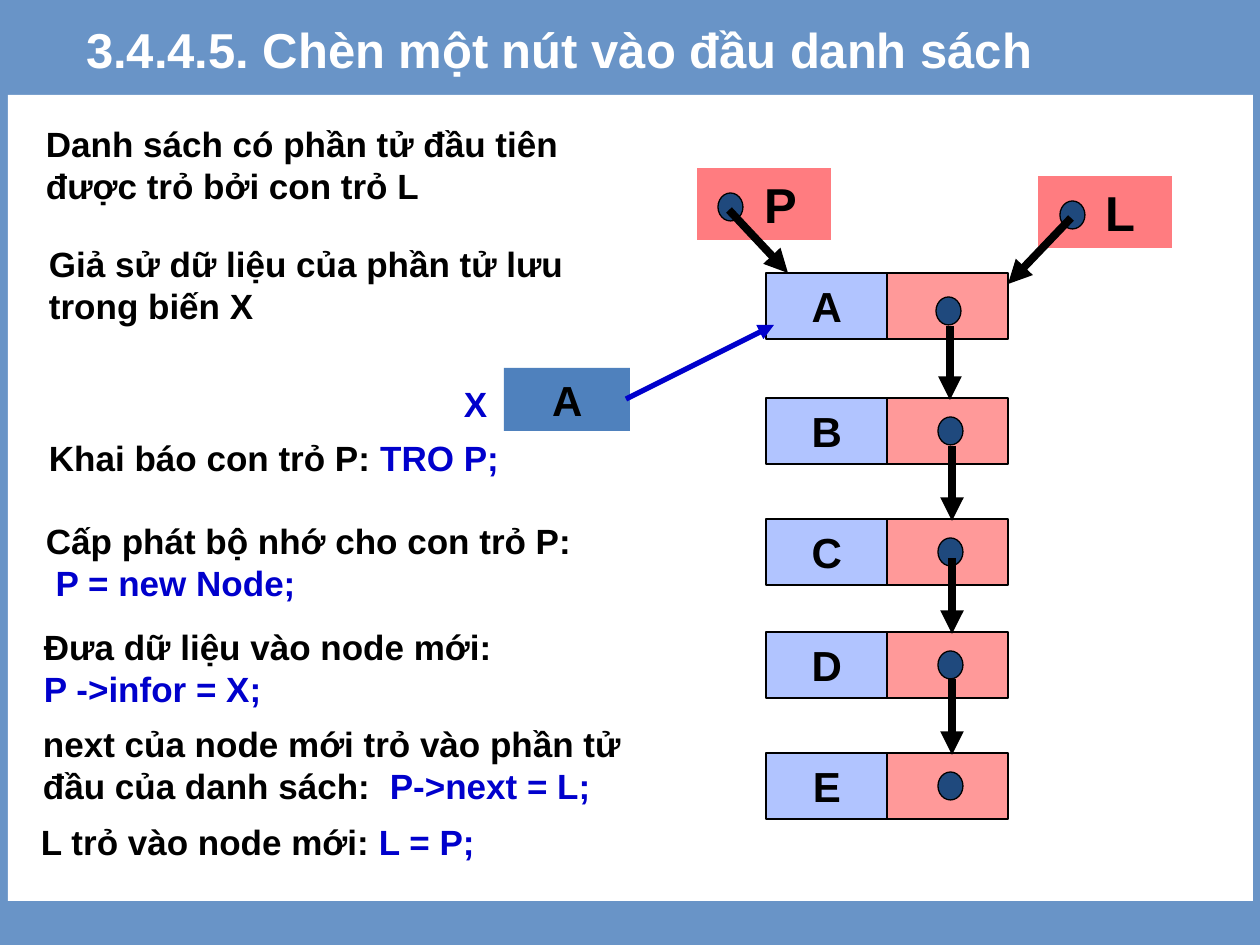
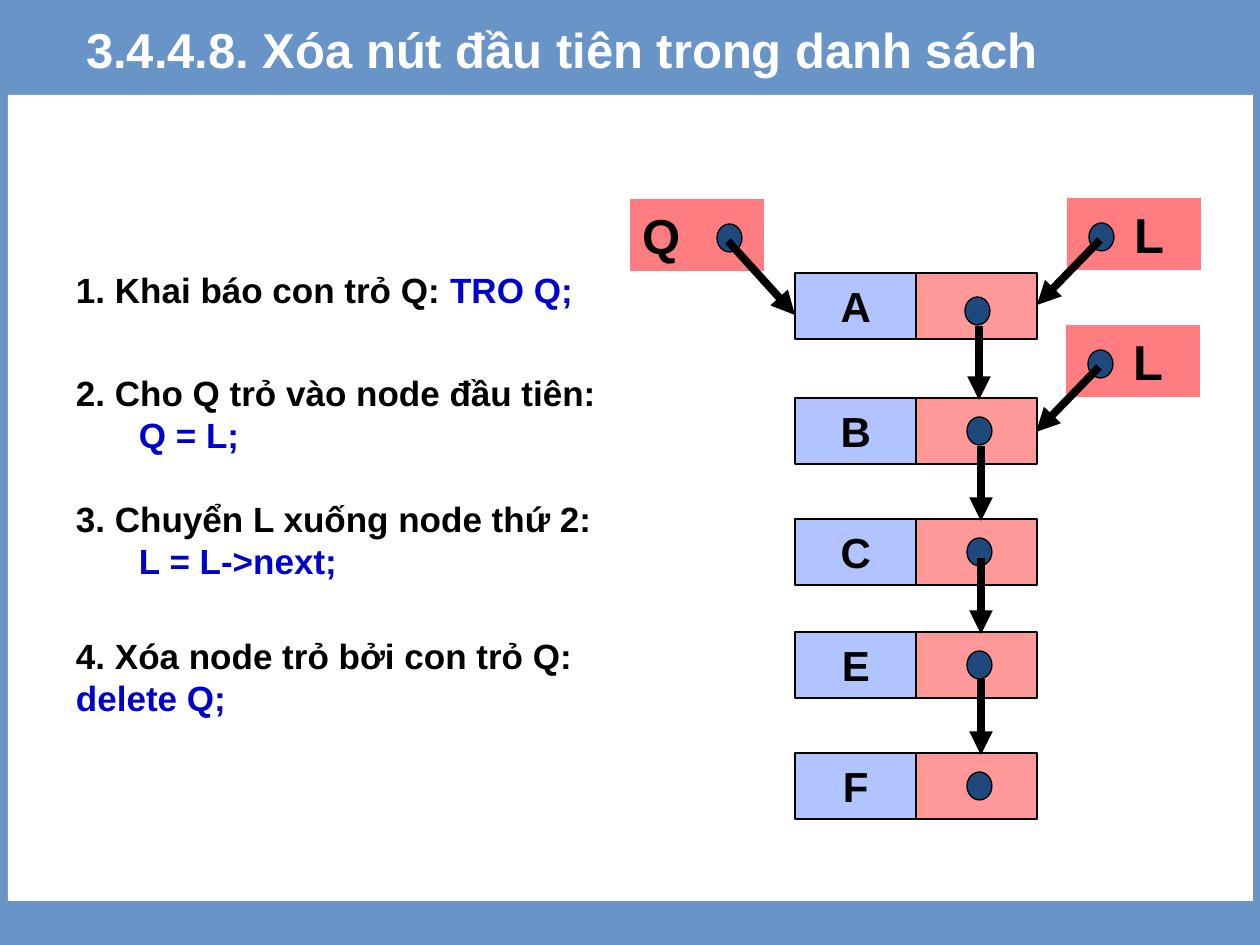
import pptx
import pptx.dml.color
import pptx.enum.shapes
import pptx.enum.text
import pptx.oxml.ns
import pptx.util
from lxml import etree

SHAPE = pptx.enum.shapes.MSO_SHAPE
ALIGN = pptx.enum.text.PP_ALIGN
ANCHOR = pptx.enum.text.MSO_ANCHOR
qn = pptx.oxml.ns.qn
PX = 914400 / 126  # EMU in one px


class Theme:
    font = "Arial"
    backdrop = "6994C7"
    white = "FFFFFF"
    ink = "000000"
    code = "0000CC"
    pointer = "FF7C80"
    dot = "1F497D"
    variable = "4F81BD"
    data_cell = ("3366FF", 38)  # colour, opacity in percent
    next_cell = ("FF0000", 40)
    heading_size = 28
    node_size = 24
    step_size = 20
    outline = 0.75
    link = 4.5
    copy_link = 3


def add_box(slide, kind, x, y, width, height, fill, outlined=False):
    box = slide.shapes.add_shape(kind, *[round(n * PX) for n in (x, y, width, height)])
    box.shadow.inherit = False
    color, opacity = fill if isinstance(fill, tuple) else (fill, 100)
    box.fill.solid()
    box.fill.fore_color.rgb = pptx.dml.color.RGBColor.from_string(color)
    if opacity < 100:
        tint = box._element.spPr.find(".//" + qn("a:srgbClr"))
        etree.SubElement(tint, qn("a:alpha"), val=str(opacity * 1000))
    if outlined:
        box.line.color.rgb = pptx.dml.color.RGBColor.from_string(Theme.ink)
        box.line.width = pptx.util.Pt(Theme.outline)
    else:
        box.line.fill.background()
    return box


def write(frame, *parts, size=Theme.step_size, colors=(Theme.ink, Theme.code),
          align=ALIGN.LEFT, anchor=ANCHOR.TOP, inset=13, space_before=None, tabs=()):
    """Write one paragraph; its parts take the colors in turn."""
    frame.word_wrap = True
    frame.auto_size = pptx.enum.text.MSO_AUTO_SIZE.NONE
    frame.vertical_anchor = anchor
    frame.margin_left = round(inset * PX)
    paragraph = frame.paragraphs[0] if space_before is None else frame.add_paragraph()
    if tabs:
        properties = paragraph._p.get_or_add_pPr()
        properties.set("marL", "0")
        properties.set("indent", "0")
        etree.SubElement(properties, qn("a:buNone"))
        stops = etree.SubElement(properties, qn("a:tabLst"))
        for stop in tabs:
            etree.SubElement(stops, qn("a:tab"), pos=str(round(stop * PX)), algn="l")
    paragraph.alignment = align
    paragraph.space_before = pptx.util.Pt(space_before or 0)
    for part, color in zip(parts, colors):
        run = paragraph.add_run()
        run.text = part
        run.font.name = Theme.font
        run.font.size = pptx.util.Pt(size)
        run.font.bold = True
        run.font.color.rgb = pptx.dml.color.RGBColor.from_string(color)


prs = pptx.Presentation()
prs.slide_width = pptx.util.Inches(10)
prs.slide_height = pptx.util.Inches(7.5)
backdrop = prs.slide_master.background.fill
backdrop.solid()
backdrop.fore_color.rgb = pptx.dml.color.RGBColor.from_string(Theme.backdrop)

# Node rows: top of the cells, top of the dot, start of the link to the next node
ROWS = [(273, 297, 326), (398, 417, 446), (519, 538, 558), (632, 651, 679), (753, 772, None)]
CELL_W, CELL_H = 121, 66
DOT_W, DOT_H = 25, 28
POINTER_W, POINTER_H = 134, 72

# Pointers: name, left, top, dot offset, text inset, point the arrow reaches
LESSONS = [
    dict(title="3.4.4.5. Chèn một nút vào đầu danh sách", layout=5,
         nodes="ABCDE", nodes_x=766,
         pointers=[("P", 697, 168, 21, 67, (788, 273)),
                   ("L", 1038, 176, 22, 67, (1008, 284))]),
    dict(title="3.4.4.8. Xóa nút đầu tiên trong danh sách", layout=1,
         nodes="ABCEF", nodes_x=795,
         pointers=[("Q", 630, 199, 87, 13, (795, 315)),
                   ("L", 1067, 198, 22, 67, (1037, 305)),
                   ("L", 1066, 325, 22, 67, (1036, 432))]),
]

# Insertion steps: left, top, width, height, then plain text and code
INSERT_STEPS = [
    (33, 116, 557, 97, "Danh sách có phần tử đầu tiên được trỏ bởi con trỏ L"),
    (36, 236, 557, 97, "Giả sử dữ liệu của phần tử lưu trong biến X"),
    (36, 430, 557, 55, "Khai báo con trỏ P: ", "TRO P;"),
    (33, 513, 557, 97, "Cấp phát bộ nhớ cho con trỏ P: ", " P = new Node;"),
    (31, 619, 494, 97, "Đưa dữ liệu vào node mới: ", "P ->infor = X;"),
    (30, 716, 620, 97, "next của node mới trỏ vào phần tử đầu của danh sách: ", " P->next = L;"),
    (28, 814, 620, 55, "L trỏ vào node mới: ", "L = P;"),
]

# Deletion steps: space before, plain text, code
DELETE_STEPS = [
    (None, "1. Khai báo con trỏ Q: ", "TRO Q;"),
    (35, "2. Cho Q trỏ vào node đầu tiên: \t", "Q = L;"),
    (24, "3. Chuyển L xuống node thứ 2: \t", "L = L->next;"),
    (30, "4. Xóa node trỏ bởi con trỏ Q: \t", "delete Q;"),
]

for lesson in LESSONS:
    slide = prs.slides.add_slide(prs.slide_layouts[lesson["layout"]])
    inserting = lesson is LESSONS[0]
    links = []  # start, end, colour, width

    # White page behind everything, then the title on the band
    page = add_box(slide, SHAPE.RECTANGLE, 8, 95, 1245, 806, Theme.white)
    page._element.getparent().insert(2, page._element)
    title = slide.shapes.title
    title.left, title.top, title.width, title.height = [
        round(n * PX) for n in (73, 1, 1158, 95)]
    write(title.text_frame, lesson["title"], size=Theme.heading_size,
          colors=[Theme.white], anchor=ANCHOR.MIDDLE)

    # Pointer boxes
    for name, x, y, dot_dx, inset, target in lesson["pointers"]:
        pointer = add_box(slide, SHAPE.RECTANGLE, x, y, POINTER_W, POINTER_H, Theme.pointer)
        write(pointer.text_frame, name, size=Theme.heading_size,
              anchor=ANCHOR.MIDDLE, inset=inset)
        add_box(slide, SHAPE.OVAL, x + dot_dx, y + 25, DOT_W, DOT_H, Theme.dot, outlined=True)
        links.append(((x + dot_dx + 11, y + 42), target, Theme.ink, Theme.link))

    # Linked list
    x = lesson["nodes_x"]
    for i, (top, dot_top, link_top) in enumerate(ROWS):
        data = add_box(slide, SHAPE.RECTANGLE, x, top, CELL_W, CELL_H,
                       Theme.data_cell, outlined=True)
        write(data.text_frame, lesson["nodes"][i], size=Theme.node_size,
              align=ALIGN.CENTER, anchor=ANCHOR.MIDDLE)
        add_box(slide, SHAPE.RECTANGLE, x + CELL_W, top, CELL_W, CELL_H,
                Theme.next_cell, outlined=True)
        dot_x = x + (172 if i else 170)
        add_box(slide, SHAPE.OVAL, dot_x, dot_top, DOT_W, DOT_H, Theme.dot, outlined=True)
        if link_top:
            link_x = dot_x + 14
            links.append(((link_x, link_top), (link_x, ROWS[i + 1][0] + 2),
                          Theme.ink, Theme.link))

    if inserting:
        # Steps around the variable X
        for left, top, width, height, *parts in INSERT_STEPS:
            step = slide.shapes.add_textbox(*[round(n * PX) for n in (left, top, width, height)])
            write(step.text_frame, *parts)
        variable = add_box(slide, SHAPE.RECTANGLE, 504, 368, 126, 63, Theme.variable)
        write(variable.text_frame, "A", size=Theme.node_size,
              align=ALIGN.CENTER, anchor=ANCHOR.MIDDLE)
        variable_name = slide.shapes.add_textbox(*[round(n * PX) for n in (451, 376, 53, 55)])
        write(variable_name.text_frame, "X", colors=[Theme.code])
        links.append(((626, 399), (774, 325), Theme.code, Theme.copy_link))
    else:
        # Numbered steps
        steps = slide.placeholders[1]
        steps.left, steps.top, steps.width, steps.height = [
            round(n * PX) for n in (63, 262, 546, 463)]
        for gap, *parts in DELETE_STEPS:
            write(steps.text_frame, *parts, space_before=gap, tabs=range(126, 505, 126))

    # Arrows
    for start, end, color, width in links:
        arrow = slide.shapes.add_connector(
            pptx.enum.shapes.MSO_CONNECTOR.STRAIGHT, *[round(n * PX) for n in start + end])
        arrow.line.color.rgb = pptx.dml.color.RGBColor.from_string(color)
        arrow.line.width = pptx.util.Pt(width)
        etree.SubElement(arrow.line._get_or_add_ln(), qn("a:tailEnd"), type="triangle")
        etree.SubElement(arrow._element.spPr, qn("a:effectLst"))

prs.save("out.pptx")
